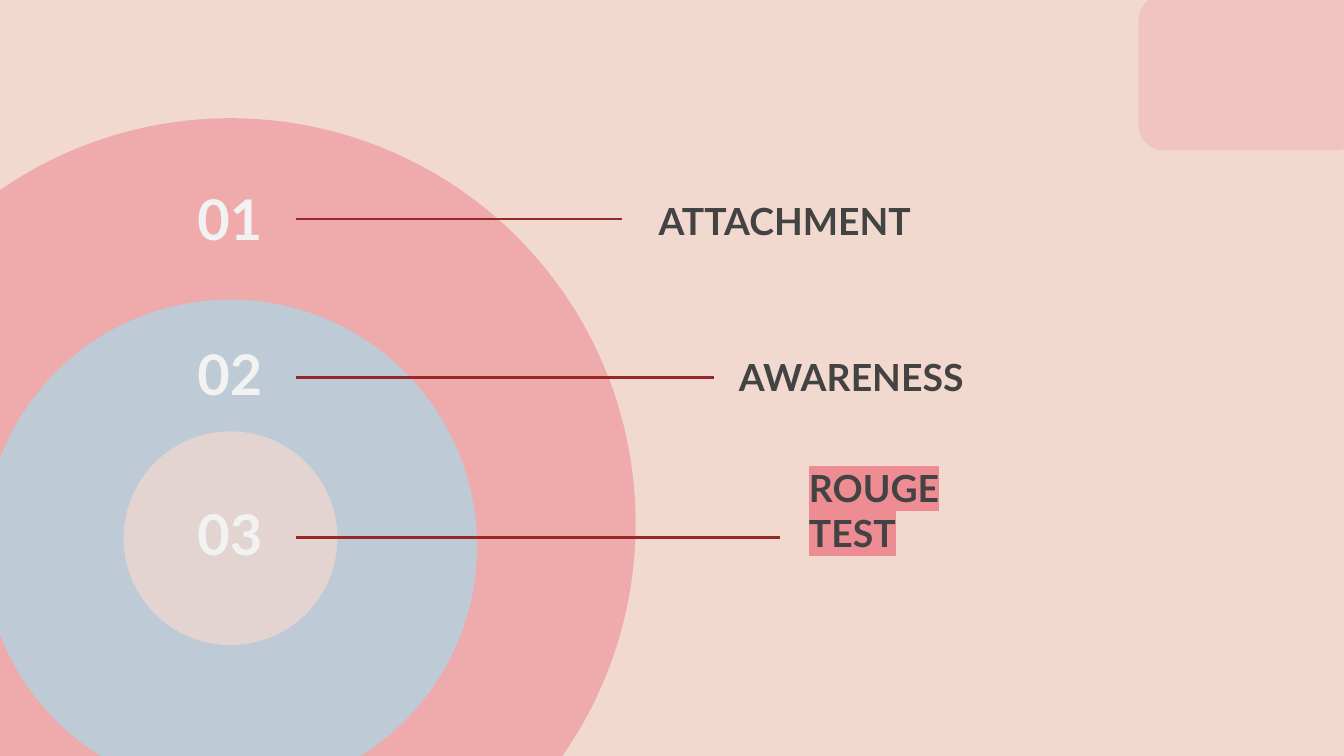
from lxml import etree
from pptx import Presentation
from pptx.dml.color import RGBColor
from pptx.enum.shapes import MSO_CONNECTOR as Conn, MSO_SHAPE as Shape
from pptx.enum.text import MSO_ANCHOR as Anchor, MSO_AUTO_SIZE as Fit, PP_ALIGN as Align
from pptx.oxml.ns import qn
from pptx.util import Inches, Pt

SAND = RGBColor(0xF2, 0xD9, 0xCF)
ROSE = RGBColor(0xEE, 0x8C, 0x94)
SKY = RGBColor(0xAE, 0xD7, 0xE8)
WINE = RGBColor(0x96, 0x28, 0x28)
DARK = RGBColor(0x43, 0x43, 0x43)
PALE = RGBColor(0xF2, 0xF2, 0xF2)


def add_shape(kind, left, top, width, height, color, alpha):
    """Add a borderless shape; alpha is its opacity in percent."""
    shape = slide.shapes.add_shape(
        kind, Inches(left), Inches(top), Inches(width), Inches(height))
    shape.shadow.inherit = False
    shape.line.fill.background()
    shape.fill.solid()
    shape.fill.fore_color.rgb = color
    tint = shape._element.spPr.find(qn("a:solidFill")).find(qn("a:srgbClr"))
    etree.SubElement(tint, qn("a:alpha"), val=str(alpha * 1000))


def set_text(box, text, left, top, width, size, color, align):
    """Place a text box or placeholder and format its one run."""
    box.left, box.top = Inches(left), Inches(top)
    box.width, box.height = Inches(width), Inches(0.63)
    frame = box.text_frame
    frame.text = text
    frame.word_wrap = True
    frame.auto_size = Fit.NONE
    frame.vertical_anchor = Anchor.BOTTOM
    frame.margin_left = frame.margin_right = Inches(0.1)
    frame.margin_top = frame.margin_bottom = Inches(0.1)
    par = frame.paragraphs[0]
    par.alignment = align
    font = par.runs[0].font
    font.name, font.size, font.bold = "Lato", Pt(size), True
    font.color.rgb = color
    return par.runs[0]


prs = Presentation()
prs.slide_width = Inches(10)
prs.slide_height = Inches(10) * 9 // 16
slide = prs.slides.add_slide(prs.slide_layouts[5])
slide.background.fill.solid()
slide.background.fill.fore_color.rgb = SAND

# Corner block and rings
add_shape(Shape.ROUNDED_RECTANGLE, 8.47, -0.04, 1.66, 1.16, ROSE, 25)
for left, top, size, color, alpha in [
    (-1.3, 0.88, 6.03, ROSE, 60),
    (-0.12, 2.23, 3.67, SKY, 73),
    (0.92, 3.21, 1.59, SAND, 71),
]:
    add_shape(Shape.OVAL, left, top, size, size, color, alpha)

# Numbers, lines and labels: number top, line y, line end, label, left, top, width
rows = [
    (1.34, 1.63, 4.63, "ATTACHMENT", 4.8, 1.28, 2.42),
    (2.5, 2.81, 5.31, "AWARENESS", 5.4, 2.44, 2.09),
    (3.69, 4, 5.8, "ROUGE TEST", 5.92, 3.6, 1.71),
]
for num, (top, mid, end, label, left, high, width) in enumerate(rows, 1):
    box = slide.shapes.add_textbox(0, 0, 0, 0)
    set_text(box, f"{num:02}", 1.32, top, 0.78, 30, PALE, Align.CENTER)

    line = slide.shapes.add_connector(
        Conn.STRAIGHT, Inches(2.2), Inches(mid), Inches(end), Inches(mid))
    line.line.color.rgb = WINE
    line.line.width = Pt(1.5)
    etree.SubElement(line._element.spPr, qn("a:effectLst"))

    box = slide.shapes.title if num == 1 else slide.shapes.add_textbox(0, 0, 0, 0)
    run = set_text(box, label, left, high, width, 20, DARK, Align.LEFT)

# Highlight behind the last label
fill = run._r.rPr.find(qn("a:solidFill"))
mark = etree.Element(qn("a:highlight"))
etree.SubElement(mark, qn("a:srgbClr"), val=str(ROSE))
fill.addnext(mark)

prs.save("out.pptx")
